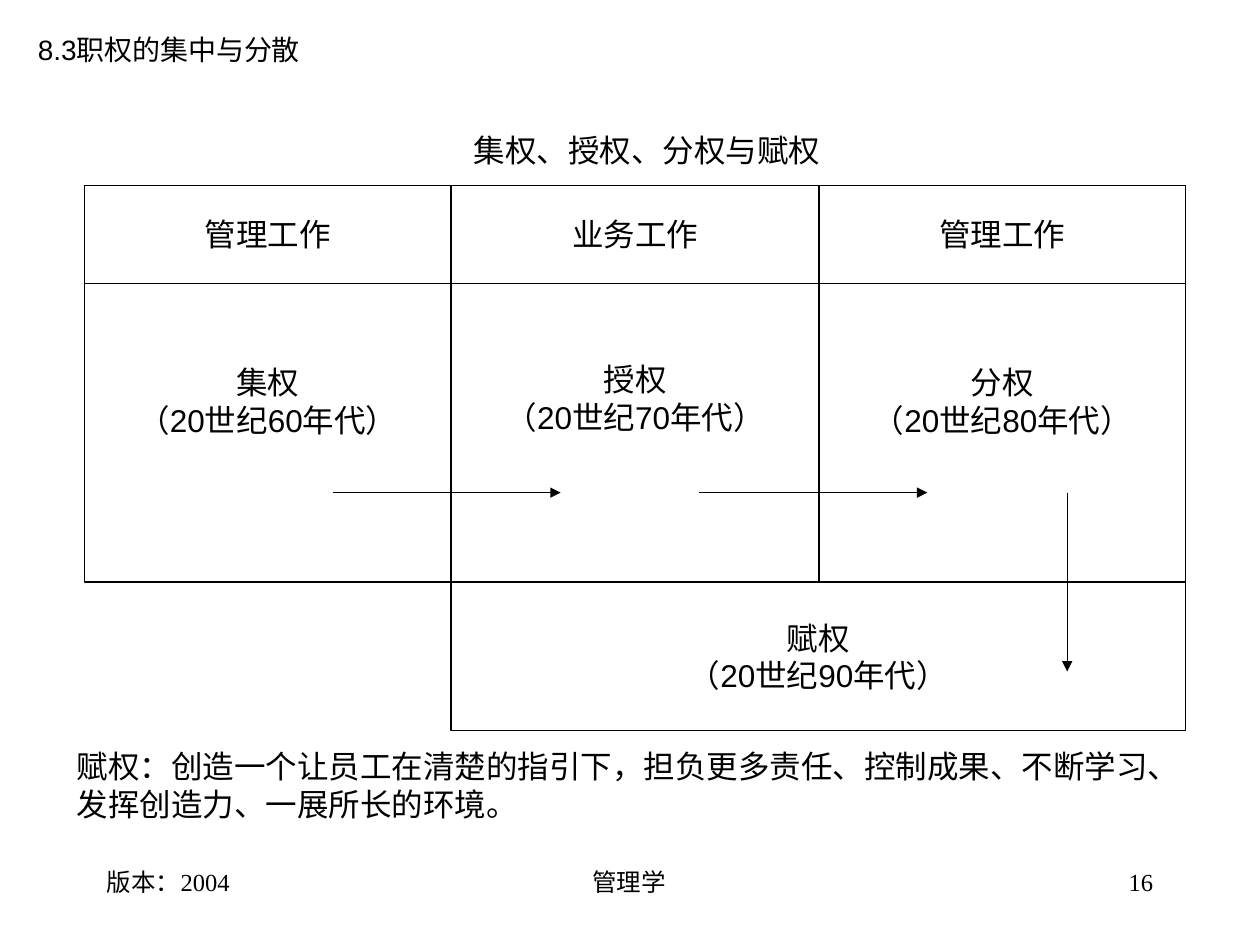
from lxml import etree
from pptx import Presentation
from pptx import util as u
from pptx.dml.color import RGBColor
from pptx.enum import shapes, text
from pptx.oxml import ns

SCALE = 9144
BLACK, WHITE = "000000", "FFFFFF"
LEFT, CENTER, RIGHT = text.PP_ALIGN.LEFT, text.PP_ALIGN.CENTER, text.PP_ALIGN.RIGHT


def px(*lengths):
    """Turn hundredths of an inch into EMU."""
    return [u.Emu(length * SCALE) for length in lengths]


def color(value):
    """Turn a hex string into a colour."""
    return RGBColor.from_string(value)


def write(shape, lines, size, align=LEFT, font="Arial", anchor=text.MSO_ANCHOR.TOP):
    """Fill a shape with one paragraph for each line."""
    frame = shape.text_frame
    frame.text = "\n".join(lines)
    frame.auto_size = text.MSO_AUTO_SIZE.NONE
    frame.word_wrap = True
    frame.vertical_anchor = anchor
    for para in frame.paragraphs:
        para.alignment = align
        para.font.name = font
        para.font.size = u.Pt(size)
        para.font.color.rgb = color(BLACK)


def add_title(page, box, line):
    """Move the title placeholder to the box and write the section name."""
    title = page.shapes.title
    title.left, title.top, title.width, title.height = px(*box)
    write(title, [line], 16)


def add_label(page, box, line, size=18, align=LEFT, font="Arial"):
    """Add a plain text box."""
    write(page.shapes.add_textbox(*px(*box)), [line], size, align, font)


def add_cell(page, box, lines, bottom=5):
    """Add an outlined rectangle with centred text above a bottom inset."""
    cell = page.shapes.add_shape(shapes.MSO_SHAPE.RECTANGLE, *px(*box))
    cell.shadow.inherit = False
    cell.fill.solid()
    cell.fill.fore_color.rgb = color(WHITE)
    cell.line.color.rgb = color(BLACK)
    cell.line.width = u.Pt(0.75)
    write(cell, lines, 18, CENTER, anchor=text.MSO_ANCHOR.MIDDLE)
    cell.text_frame.margin_bottom = px(bottom)[0]


def add_arrow(page, x, y, dx, dy):
    """Add a straight arrow from a point by an offset."""
    arrow = page.shapes.add_connector(
        shapes.MSO_CONNECTOR.STRAIGHT, *px(x, y, x + dx, y + dy))
    arrow.line.color.rgb = color(BLACK)
    arrow.line.width = u.Pt(0.75)
    etree.SubElement(arrow.line._get_or_add_ln(), ns.qn("a:tailEnd"), type="triangle")
    etree.SubElement(arrow._element.spPr, ns.qn("a:effectLst"))


def add_board(page, box):
    """Draw the stages of authority and the arrows that link them."""
    left, top, width, height = box
    edges = [left + round(width * i / 3) for i in range(4)]
    head, foot = 78, 118
    middle = height - head - foot
    stages = [("管理工作", "集权", 60, 56), ("业务工作", "授权", 70, 60),
              ("管理工作", "分权", 80, 56)]
    for x, end, (work, stage, decade, inset) in zip(edges, edges[1:], stages):
        add_cell(page, (x, top, end - x, head), [work])
        add_cell(page, (x, top + head, end - x, middle),
                 [stage, f"（20世纪{decade}年代）"], inset)
    add_cell(page, (edges[1], top + head + middle, edges[3] - edges[1], foot),
             ["赋权", "（20世纪90年代）"])
    for x in edges[:2]:
        add_arrow(page, x + 197, top + 244, 181, 0)
    add_arrow(page, edges[2] + 197, top + 244, 0, 142)


def add_footer(page, box):
    """Write the edition, subject and page number along the bottom."""
    left, top, width, height = box
    side, center = 208, 317
    parts = [(left, side, "版本：2004", LEFT),
             (left + (width - center) // 2, center, "管理学", CENTER),
             (left + width - side, side, "16", RIGHT)]
    for x, span, line, align in parts:
        add_label(page, (x, top, span, height), line, 14, align, "Times New Roman")


def main():
    """Build the slide and save it."""
    deck = Presentation()
    deck.slide_width, deck.slide_height = px(1000, 750)
    page = deck.slides.add_slide(deck.slide_layouts[5])
    add_title(page, (20, 21, 229, 37), "8.3职权的集中与分散")
    add_label(page, (366, 99, 299, 40), "集权、授权、分权与赋权")
    add_board(page, (67, 147, 874, 433))
    add_label(page, (51, 588, 898, 70),
              "赋权：创造一个让员工在清楚的指引下，担负更多责任、控制成果、"
              "不断学习、发挥创造力、一展所长的环境。")
    add_footer(page, (75, 683, 850, 50))
    deck.save("out.pptx")


if __name__ == "__main__":
    main()
